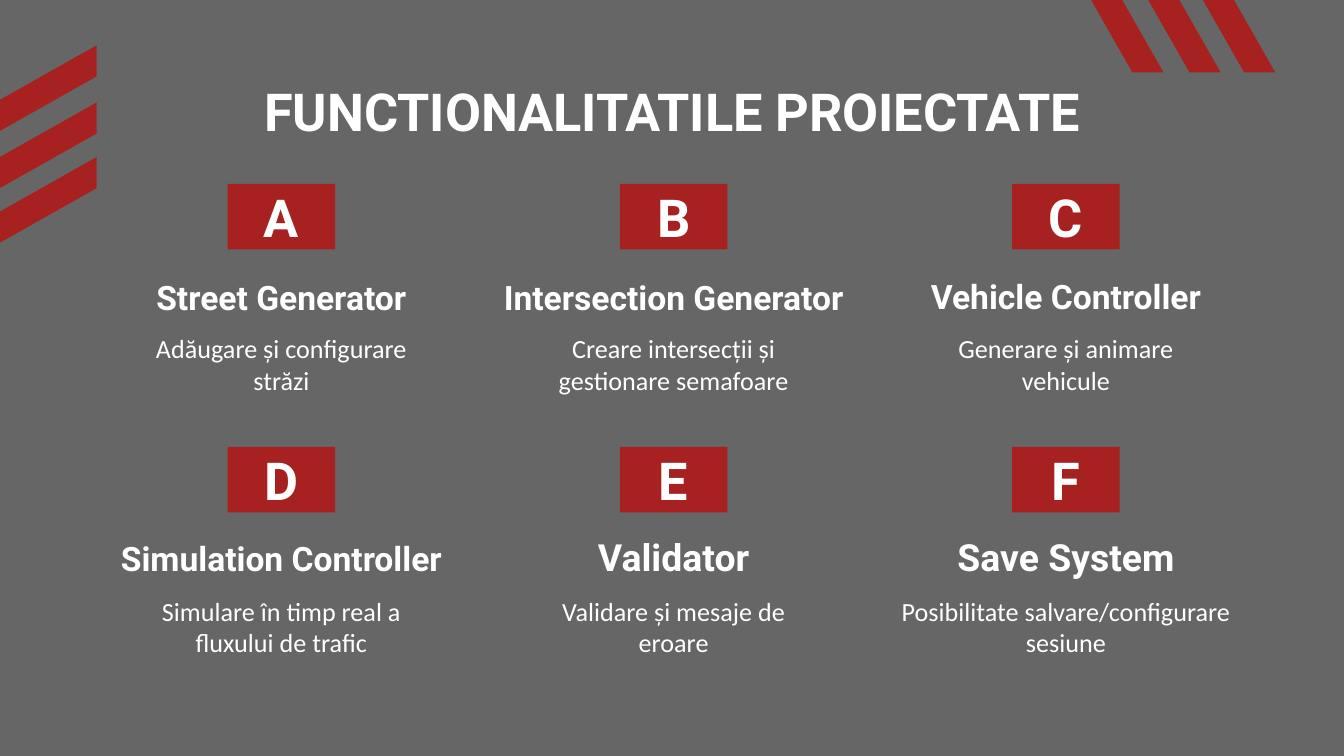
from dataclasses import dataclass

from pptx import Presentation
from pptx.dml.color import RGBColor
from pptx.enum.shapes import MSO_SHAPE
from pptx.enum.text import MSO_ANCHOR, MSO_AUTO_SIZE, PP_ALIGN
from pptx.util import Emu, Pt

EMU_PER_PX = 5715


@dataclass(frozen=True)
class Theme:
    background: RGBColor = RGBColor(0x66, 0x66, 0x66)
    accent: RGBColor = RGBColor(0xA8, 0x21, 0x21)
    text: RGBColor = RGBColor(0xFF, 0xFF, 0xFF)
    heading_font: str = "Roboto"
    body_font: str = "Calibri"
    title_size: int = 28
    large_heading_size: int = 20
    heading_size: int = 18
    body_size: int = 14


@dataclass(frozen=True)
class Card:
    letter: str
    heading: str
    description: str
    heading_top: int = 95
    heading_width: int = 374
    heading_size: int = Theme.heading_size
    description_width: int = 374


THEME = Theme()
SLIDE_WIDTH, SLIDE_HEIGHT = 1600, 900
CARD_WIDTH, CARD_HEIGHT = 554, 271
COLUMNS = 3
COLUMN_STEP, ROW_STEP = 467, 313
GRID_LEFT, GRID_TOP = 58, 219
CARDS = [
    Card("A", "Street Generator", "Adăugare și configurare străzi",
         heading_top=97, heading_width=414),
    Card("B", "Intersection Generator", "Creare intersecții și gestionare semafoare",
         heading_top=97, heading_width=554),
    Card("C", "Vehicle Controller", "Generare și animare vehicule"),
    Card("D", "Simulation Controller", "Simulare în timp real a fluxului de trafic",
         heading_width=460),
    Card("E", "Validator", "Validare și mesaje de eroare",
         heading_size=THEME.large_heading_size),
    Card("F", "Save System", "Posibilitate salvare/configurare sesiune",
         heading_size=THEME.large_heading_size, description_width=428),
]


def px(length):
    return Emu(length * EMU_PER_PX)


def px_box(left, top, width, height):
    return px(left), px(top), px(width), px(height)


def fill_text(shape, text, size, font_name, bold, anchor):
    frame = shape.text_frame
    frame.word_wrap = True
    frame.auto_size = MSO_AUTO_SIZE.NONE
    frame.vertical_anchor = anchor
    frame.margin_left = frame.margin_right = px(16)
    frame.margin_top = frame.margin_bottom = px(16)
    paragraph = frame.paragraphs[0]
    paragraph.alignment = PP_ALIGN.CENTER
    run = paragraph.add_run()
    run.text = text
    run.font.size = Pt(size)
    run.font.name = font_name
    run.font.bold = bold
    run.font.color.rgb = THEME.text


def paint_accent(shape):
    shape.shadow.inherit = False
    shape.fill.solid()
    shape.fill.fore_color.rgb = THEME.accent
    shape.line.fill.background()


def add_stripe(slide, points):
    corners = [(px(x), px(y)) for x, y in points]
    builder = slide.shapes.build_freeform(*corners[0])
    builder.add_line_segments(corners[1:], close=True)
    paint_accent(builder.convert_to_shape())


def add_left_stripes(slide, left, top, width, rise, thickness):
    right = left + width
    for offset in (133, 68, 0):
        upper = top + offset
        lower = upper + rise
        add_stripe(slide, [(left, lower + thickness), (left, lower),
                           (right, upper), (right, upper + thickness)])


def add_top_stripes(slide, left, top, height, slant, thickness):
    bottom = top + height
    for offset in (133, 68, 0):
        start = left + offset
        end = start + slant
        add_stripe(slide, [(start, top), (start + thickness, top),
                           (end + thickness, bottom), (end, bottom)])


def add_title(slide, left, top, width, height):
    title = slide.shapes.title
    title.left, title.top, title.width, title.height = px_box(left, top, width, height)
    fill_text(title, "FUNCTIONALITATILE PROIECTATE", THEME.title_size,
              THEME.heading_font, True, MSO_ANCHOR.TOP)


def add_card(slide, card, left, top, width, height):
    def centered(part_width, part_top, part_height):
        return px_box(left + (width - part_width) // 2, top + part_top,
                      part_width, part_height)

    badge = slide.shapes.add_shape(MSO_SHAPE.RECTANGLE, *centered(128, 0, 78))
    paint_accent(badge)
    fill_text(badge, card.letter, THEME.title_size,
              THEME.heading_font, True, MSO_ANCHOR.MIDDLE)

    heading = slide.shapes.add_textbox(
        *centered(card.heading_width, card.heading_top, 78))
    fill_text(heading, card.heading, card.heading_size,
              THEME.heading_font, True, MSO_ANCHOR.BOTTOM)

    description = slide.shapes.add_textbox(
        *centered(card.description_width, height - 110, 110))
    fill_text(description, card.description, THEME.body_size,
              THEME.body_font, False, MSO_ANCHOR.TOP)


def add_card_grid(slide, left, top):
    for index, card in enumerate(CARDS):
        row, column = divmod(index, COLUMNS)
        add_card(slide, card, left + column * COLUMN_STEP, top + row * ROW_STEP,
                 CARD_WIDTH, CARD_HEIGHT)


def main():
    presentation = Presentation()
    presentation.slide_width = px(SLIDE_WIDTH)
    presentation.slide_height = px(SLIDE_HEIGHT)
    slide = presentation.slides.add_slide(presentation.slide_layouts[5])
    slide.background.fill.solid()
    slide.background.fill.fore_color.rgb = THEME.background

    add_left_stripes(slide, -66, 54, 181, 102, 37)
    add_top_stripes(slide, 1246, -93, 179, 102, 37)
    add_title(slide, 126, 78, 1348, 101)
    add_card_grid(slide, GRID_LEFT, GRID_TOP)
    presentation.save("out.pptx")


if __name__ == "__main__":
    main()
